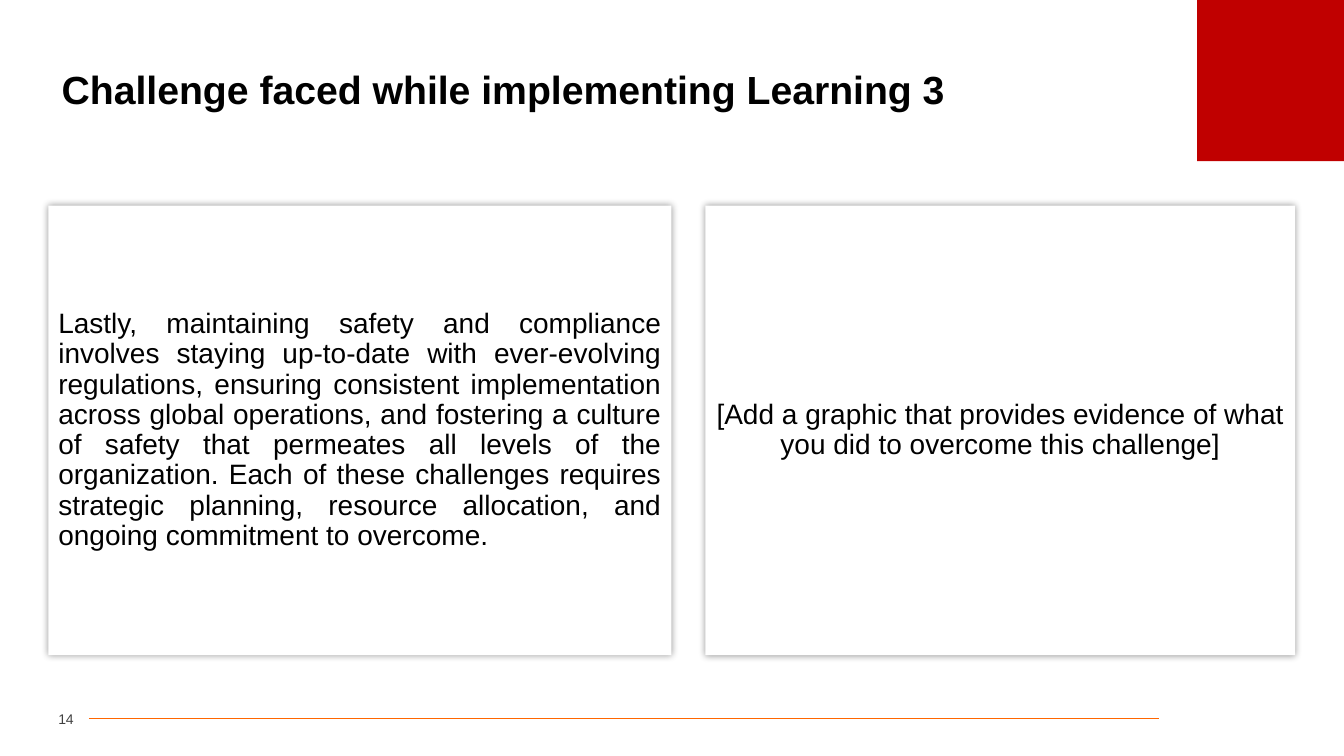
from dataclasses import dataclass

import pptx
import pptx.dml.color
import pptx.enum.shapes
import pptx.enum.text
import pptx.oxml
import pptx.oxml.ns
import pptx.util
from pptx.util import Cm

ALIGN = pptx.enum.text.PP_ALIGN
MIDDLE = pptx.enum.text.MSO_ANCHOR.MIDDLE
CARD_TOP, CARD_HEIGHT = 5.18, 11.33


@dataclass
class Card:
    left: float
    width: float
    align: ALIGN
    text: str


CARDS = [
    Card(1.22, 15.7, ALIGN.JUSTIFY,
         "Lastly, maintaining safety and compliance involves staying up-to-date with "
         "ever-evolving regulations, ensuring consistent implementation across global "
         "operations, and fostering a culture of safety that permeates all levels of the "
         "organization. Each of these challenges requires strategic planning, resource "
         "allocation, and ongoing commitment to overcome."),
    Card(17.78, 14.86, ALIGN.CENTER,
         "[Add a graphic that provides evidence of what you did to overcome this challenge]"),
]


def rgb(color: str) -> pptx.dml.color.RGBColor:
    return pptx.dml.color.RGBColor.from_string(color)


def set_text(sp, text: str, size: float, color: str, align: ALIGN,
             bold: bool = False, spacing: float = 1.0, before: float = 0) -> None:
    tf = sp.text_frame
    tf.text = text
    tf.word_wrap = True
    tf.auto_size = pptx.enum.text.MSO_AUTO_SIZE.NONE
    tf.vertical_anchor = MIDDLE
    p = tf.paragraphs[0]
    p.alignment = align
    p.line_spacing = spacing
    p.space_before = pptx.util.Pt(before)
    font = p.runs[0].font
    font.name, font.size, font.bold = "Arial", pptx.util.Pt(size), bold
    font.color.rgb = rgb(color)


def add_rect(slide, left: float, top: float, width: float, height: float, color: str):
    sp = slide.shapes.add_shape(pptx.enum.shapes.MSO_SHAPE.RECTANGLE,
                                Cm(left), Cm(top), Cm(width), Cm(height))
    sp.fill.solid()
    sp.fill.fore_color.rgb = rgb(color)
    sp.line.fill.background()
    sp.shadow.inherit = False
    return sp


def add_glow_shadow(sp) -> None:
    effects = sp.element.spPr.find(pptx.oxml.ns.qn("a:effectLst"))
    effects.append(pptx.oxml.parse_xml(
        f'<a:outerShdw {pptx.oxml.ns.nsdecls("a")} blurRad="{pptx.util.Pt(5)}" dist="0" '
        'dir="0" algn="ctr" rotWithShape="0">'
        '<a:srgbClr val="000000"><a:alpha val="40000"/></a:srgbClr></a:outerShdw>'))


def add_card(slide, card: Card) -> None:
    sp = add_rect(slide, card.left, CARD_TOP, card.width, CARD_HEIGHT, "FFFFFF")
    add_glow_shadow(sp)
    set_text(sp, card.text, 20, "000000", card.align, spacing=0.9, before=10)


def add_footer(slide) -> None:
    line = slide.shapes.add_connector(pptx.enum.shapes.MSO_CONNECTOR.STRAIGHT,
                                      Cm(2.24), Cm(18.11), Cm(29.21), Cm(18.11))
    line.line.color.rgb = rgb("FF6600")
    line.line.width = pptx.util.Pt(0.5)
    line.element.spPr.append(pptx.oxml.parse_xml(
        f'<a:effectLst {pptx.oxml.ns.nsdecls("a")}/>'))
    number = slide.shapes.add_textbox(Cm(0.84), Cm(17.75), Cm(1.02), Cm(0.74))
    number.text_frame.margin_left = number.text_frame.margin_right = 0
    set_text(number, "14", 10, "404040", ALIGN.RIGHT)


def add_title(slide) -> None:
    title = slide.shapes.title
    title.left, title.top, title.width, title.height = Cm(1.3), Cm(1.32), Cm(31.27), Cm(1.98)
    set_text(title, "Challenge faced while implementing Learning 3", 28, "000000",
             ALIGN.LEFT, bold=True, spacing=0.9)


def main() -> None:
    prs = pptx.Presentation()
    prs.slide_width, prs.slide_height = Cm(33.87), Cm(19.05)
    slide = prs.slides.add_slide(prs.slide_layouts[5])
    add_rect(slide, 30.17, 0, 3.7, 4.06, "C00000")
    add_title(slide)
    add_footer(slide)
    for card in CARDS:
        add_card(slide, card)
    prs.save("out.pptx")


if __name__ == "__main__":
    main()
